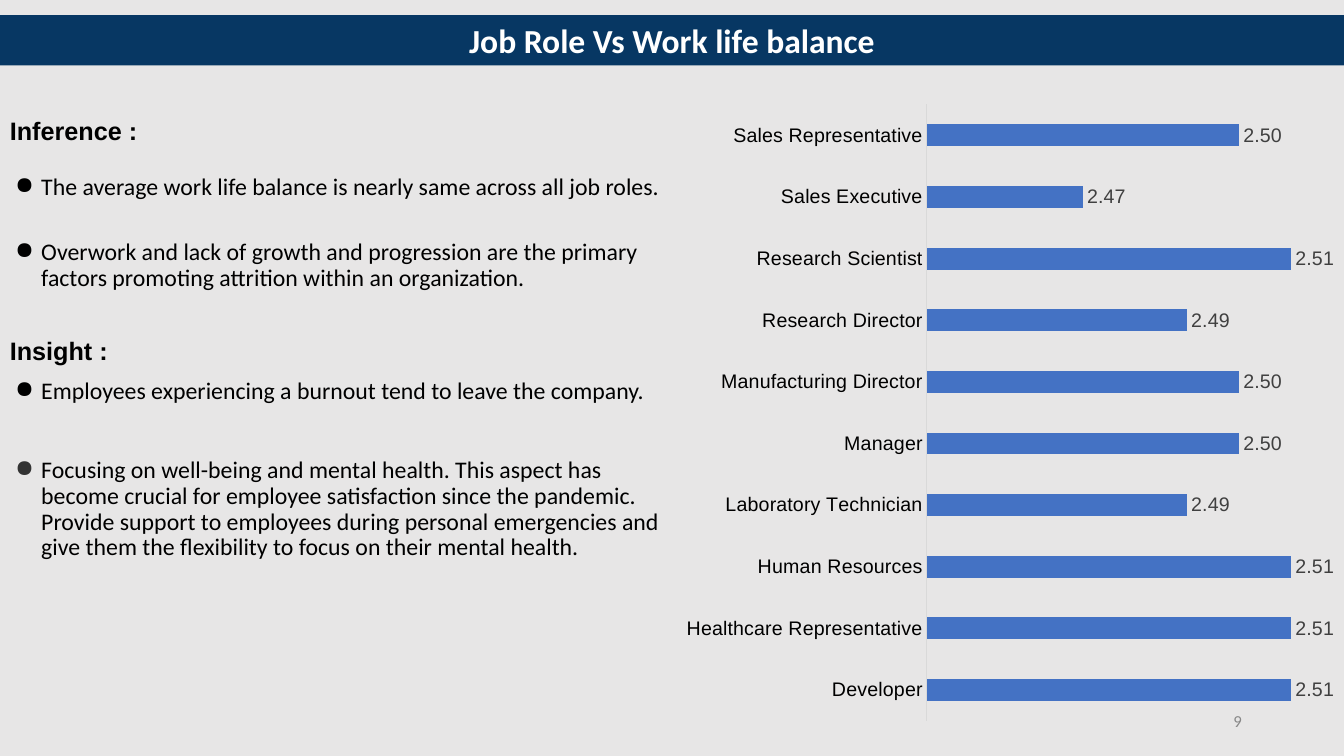
from lxml.etree import SubElement
from pptx import Presentation
from pptx.chart.data import CategoryChartData
from pptx.dml.color import RGBColor
from pptx.enum.chart import XL_CHART_TYPE, XL_LABEL_POSITION, XL_TICK_MARK
from pptx.enum.text import MSO_ANCHOR, MSO_AUTO_SIZE, PP_ALIGN
from pptx.oxml.ns import qn
from pptx.util import Cm, Pt

NAVY, BLUE, GREY = "073763", "4472C4", "E7E6E6"
BLACK, WHITE = "000000", "FFFFFF"

RATINGS = {
    "Developer": 2.51,
    "Healthcare Representative": 2.51,
    "Human Resources": 2.51,
    "Laboratory Technician": 2.49,
    "Manager": 2.50,
    "Manufacturing Director": 2.50,
    "Research Director": 2.49,
    "Research Scientist": 2.51,
    "Sales Executive": 2.47,
    "Sales Representative": 2.50,
}

SECTIONS = [
    ("Inference :", 0, [
        ("The average work life balance is nearly same across all job roles.", 21, BLACK),
        ("Overwork and lack of growth and progression are the primary factors "
         "promoting attrition within an organization.", 28, BLACK),
    ]),
    ("Insight :", 31, [
        ("Employees experiencing a burnout tend to leave the company.", 10, BLACK),
        ("Focusing on well-being and mental health. This aspect has become crucial "
         "for employee satisfaction since the pandemic. Provide support to employees "
         "during personal emergencies and give them the flexibility to focus on their "
         "mental health.", 38, "333333"),
    ]),
]


def colour(code):
    return RGBColor.from_string(code)


class SlideBuilder:
    heading_font = "Arial"
    text_font = "Calibri"

    def __init__(self, deck):
        self.page = deck.slides.add_slide(deck.slide_layouts[5])
        fill = self.page.background.fill
        fill.solid()
        fill.fore_color.rgb = colour(GREY)

    def style(self, font, name, size, code, bold=False):
        font.name = name
        font.size = Pt(size)
        font.bold = bold
        font.color.rgb = colour(code)

    def span(self, para, text, name, size, code, bold=False):
        run = para.add_run()
        run.text = text
        self.style(run.font, name, size, code, bold)

    def place(self, box, left, top, width, height):
        box.left, box.top, box.width, box.height = Cm(left), Cm(top), Cm(width), Cm(height)

    def title(self, text):
        box = self.page.shapes.title
        self.place(box, 0, 0.38, 33.87, 1.27)
        box.fill.solid()
        box.fill.fore_color.rgb = colour(NAVY)
        frame = box.text_frame
        frame.auto_size = MSO_AUTO_SIZE.NONE
        frame.vertical_anchor = MSO_ANCHOR.MIDDLE
        para = frame.paragraphs[0]
        para.alignment = PP_ALIGN.CENTER
        self.span(para, text, self.text_font, 24, WHITE, True)

    def text_box(self, left, top, width, height):
        box = self.page.shapes.add_textbox(Cm(left), Cm(top), Cm(width), Cm(height))
        box.text_frame.word_wrap = True
        return box.text_frame

    def bullet(self, para, code):
        properties = para._p.get_or_add_pPr()
        properties.set("marL", str(Cm(0.79)))
        properties.set("indent", str(-Cm(0.66)))
        bullet_colour = SubElement(properties, qn("a:buClr"))
        SubElement(bullet_colour, qn("a:srgbClr"), val=code)
        SubElement(properties, qn("a:buChar"), char="●")

    def notes(self, sections):
        frame = self.text_box(0, 2.79, 16.94, 12.75)
        para = frame.paragraphs[0]
        for heading, gap, points in sections:
            if gap:
                para = frame.add_paragraph()
                para.space_before = Pt(gap)
            self.span(para, heading, self.heading_font, 18, BLACK, True)
            for text, space, bullet_code in points:
                para = frame.add_paragraph()
                para.line_spacing = 0.9
                para.space_before = Pt(space)
                self.bullet(para, bullet_code)
                self.span(para, text, self.text_font, 17, BLACK)

    def page_number(self, number):
        frame = self.text_box(23.93, 17.65, 7.62, 1.02)
        frame.vertical_anchor = MSO_ANCHOR.MIDDLE
        para = frame.paragraphs[0]
        para.alignment = PP_ALIGN.RIGHT
        self.span(para, number, self.text_font, 12, "888888")

    def bar_chart(self, ratings):
        data = CategoryChartData(number_format="0.00")
        data.categories = list(ratings)
        data.add_series("Series 1", list(ratings.values()))
        chart = self.page.shapes.add_chart(
            XL_CHART_TYPE.BAR_CLUSTERED, Cm(16.92), Cm(2.31), Cm(16.94), Cm(16.18), data).chart
        self.style(chart.font, self.heading_font, 14, BLACK)
        chart.has_legend = False
        chart.has_title = False

        jobs = chart.category_axis
        jobs.major_tick_mark = jobs.minor_tick_mark = XL_TICK_MARK.NONE
        jobs.format.line.color.rgb = colour("D9D9D9")
        jobs.format.line.width = Pt(0.75)
        self.style(jobs.tick_labels.font, self.heading_font, 14, BLACK)

        scale = chart.value_axis
        scale.minimum_scale, scale.maximum_scale = 2.44, 2.52
        scale.has_major_gridlines = False
        scale.visible = False

        plot = chart.plots[0]
        plot.gap_width = 182
        plot.vary_by_categories = False
        bars = plot.series[0]
        bars.format.fill.solid()
        bars.format.fill.fore_color.rgb = colour(BLUE)
        labels = bars.data_labels
        labels.show_value = True
        labels.position = XL_LABEL_POSITION.OUTSIDE_END
        labels.number_format = "0.00"
        labels.number_format_is_linked = False
        self.style(labels.font, self.heading_font, 14, "404040")
        self.plot_area(chart, x=0.38, y=0.02, w=0.62, h=0.96)

    def plot_area(self, chart, **shares):
        area = chart._chartSpace.chart.plotArea
        layout = area.find(qn("c:layout"))
        if layout is None:
            layout = SubElement(area, qn("c:layout"))
            area.insert(0, layout)
        manual = SubElement(layout, qn("c:manualLayout"))
        SubElement(manual, qn("c:layoutTarget"), val="inner")
        for side in ("xMode", "yMode"):
            SubElement(manual, qn(f"c:{side}"), val="edge")
        for side, share in shares.items():
            SubElement(manual, qn(f"c:{side}"), val=str(share))


def main():
    deck = Presentation()
    deck.slide_width, deck.slide_height = Cm(33.87), Cm(19.05)
    slide = SlideBuilder(deck)
    slide.title("Job Role Vs Work life balance")
    slide.bar_chart(RATINGS)
    slide.notes(SECTIONS)
    slide.page_number("9")
    deck.save("out.pptx")


if __name__ == "__main__":
    main()
